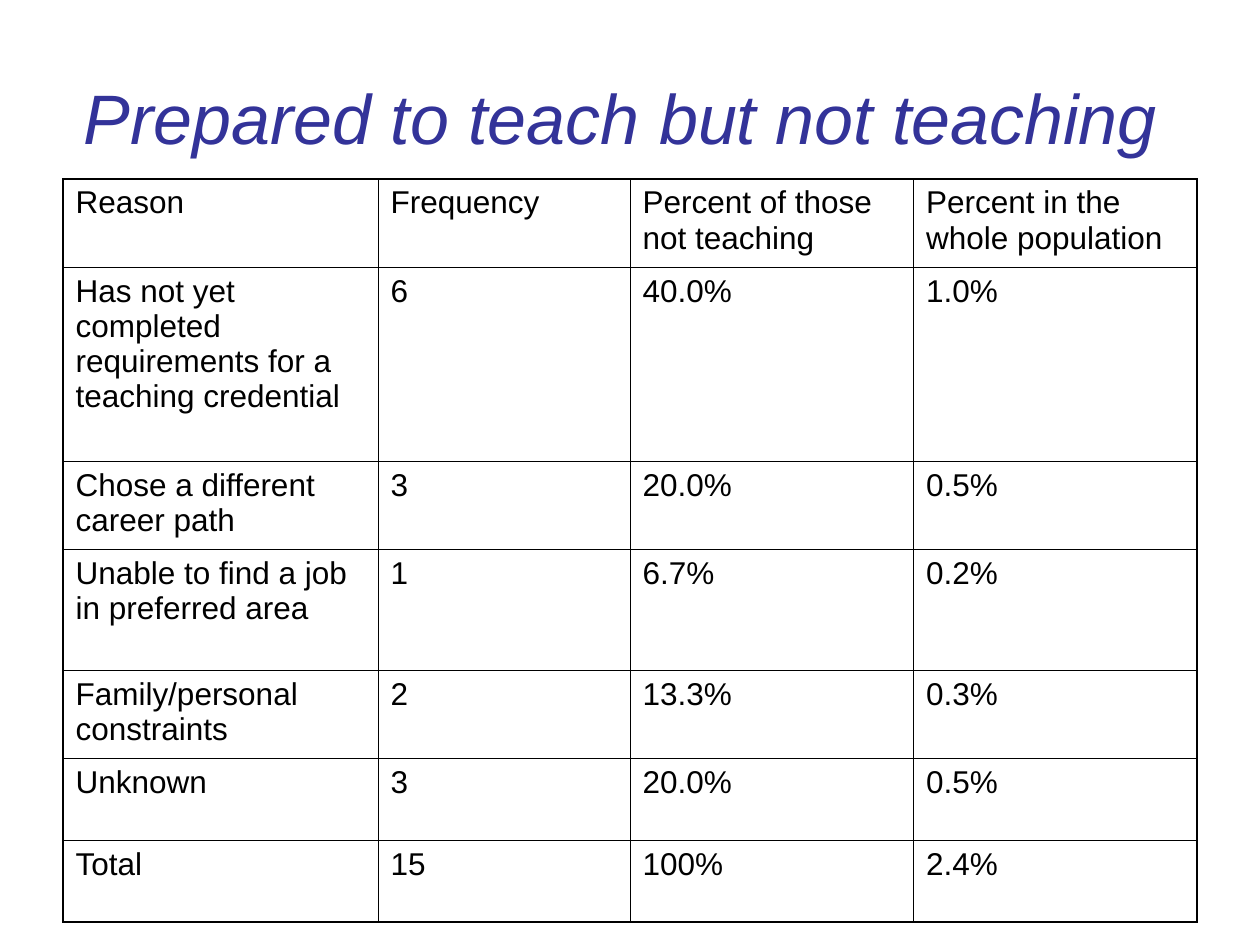
from lxml import etree
from pptx import Presentation
from pptx import util as u
from pptx.dml.color import RGBColor
from pptx.enum import text
from pptx.oxml import ns

FONT = "Arial"
BLACK = RGBColor(0x00, 0x00, 0x00)
INDIGO = RGBColor(0x33, 0x33, 0x99)
INNER_LINE, OUTER_LINE = u.Pt(0.45), u.Pt(1.08)
COLUMN_WIDTHS = [2.5, 2, 2.25, 2.25]
ROW_HEIGHTS = [0.7, 1.54, 0.7, 0.96, 0.7, 0.65, 0.65]
REASONS = [
    ("Reason", "Frequency", "Percent of those not teaching", "Percent in the whole population"),
    ("Has not yet completed requirements for a teaching credential", "6", "40.0%", "1.0%"),
    ("Chose a different career path", "3", "20.0%", "0.5%"),
    ("Unable to find a job in preferred area", "1", "6.7%", "0.2%"),
    ("Family/personal constraints", "2", "13.3%", "0.3%"),
    ("Unknown", "3", "20.0%", "0.5%"),
    ("Total", "15", "100%", "2.4%"),
]


def format_font(font, color, **values):
    """Apply the slide's font, a colour and further format values."""
    for name, value in {"name": FONT, **values}.items():
        setattr(font, name, value)
    font.color.rgb = color


def add_title(slide, left, top, width, height):
    """Place the slide title in the given box."""
    frame = slide.shapes.add_textbox(left, top, width, height).text_frame
    frame.word_wrap = True
    frame.vertical_anchor = text.MSO_ANCHOR.MIDDLE
    paragraph = frame.paragraphs[0]
    paragraph.alignment = text.PP_ALIGN.CENTER
    run = paragraph.add_run()
    run.text = "Prepared to teach but not teaching "
    format_font(run.font, INDIGO, size=u.Pt(40), italic=True)


def add_borders(cell, outer_sides):
    """Draw four cell borders, heavier on the sides at the table's edge."""
    properties = cell._tc.get_or_add_tcPr()
    for side, is_outer in outer_sides.items():
        line = etree.SubElement(properties, ns.qn(f"a:ln{side}"))
        line.set("w", str(OUTER_LINE if is_outer else INNER_LINE))
        fill = etree.SubElement(line, ns.qn("a:solidFill"))
        etree.SubElement(fill, ns.qn("a:srgbClr")).set("val", str(BLACK))


def add_reason_table(slide, left, top, width, height):
    """Place the table of reasons for not teaching in the given box."""
    last_row, last_column = len(ROW_HEIGHTS) - 1, len(COLUMN_WIDTHS) - 1
    table = slide.shapes.add_table(last_row + 1, last_column + 1, left, top, width, height).table
    table.first_row = table.horz_banding = False
    for column, share in zip(table.columns, COLUMN_WIDTHS):
        column.width = int(width * share / sum(COLUMN_WIDTHS))
    for row, share in zip(table.rows, ROW_HEIGHTS):
        row.height = int(height * share / sum(ROW_HEIGHTS))
    for r, values in enumerate(REASONS):
        for c, value in enumerate(values):
            cell = table.cell(r, c)
            add_borders(cell, {"L": c == 0, "R": c == last_column, "T": r == 0, "B": r == last_row})
            cell.fill.background()
            run = cell.text_frame.paragraphs[0].add_run()
            run.text = value
            format_font(run.font, BLACK, size=u.Pt(18), bold=False)


def main():
    """Build the slide and save it."""
    presentation = Presentation()
    presentation.slide_width, presentation.slide_height = u.Inches(10), u.Inches(7.5)
    slide = presentation.slides.add_slide(presentation.slide_layouts[6])
    add_title(slide, u.Inches(0.5), u.Inches(0.3), u.Inches(9), u.Inches(1.25))
    add_reason_table(slide, u.Inches(0.5), u.Inches(1.42), u.Inches(9), u.Inches(5.9))
    presentation.save("out.pptx")


if __name__ == "__main__":
    main()
